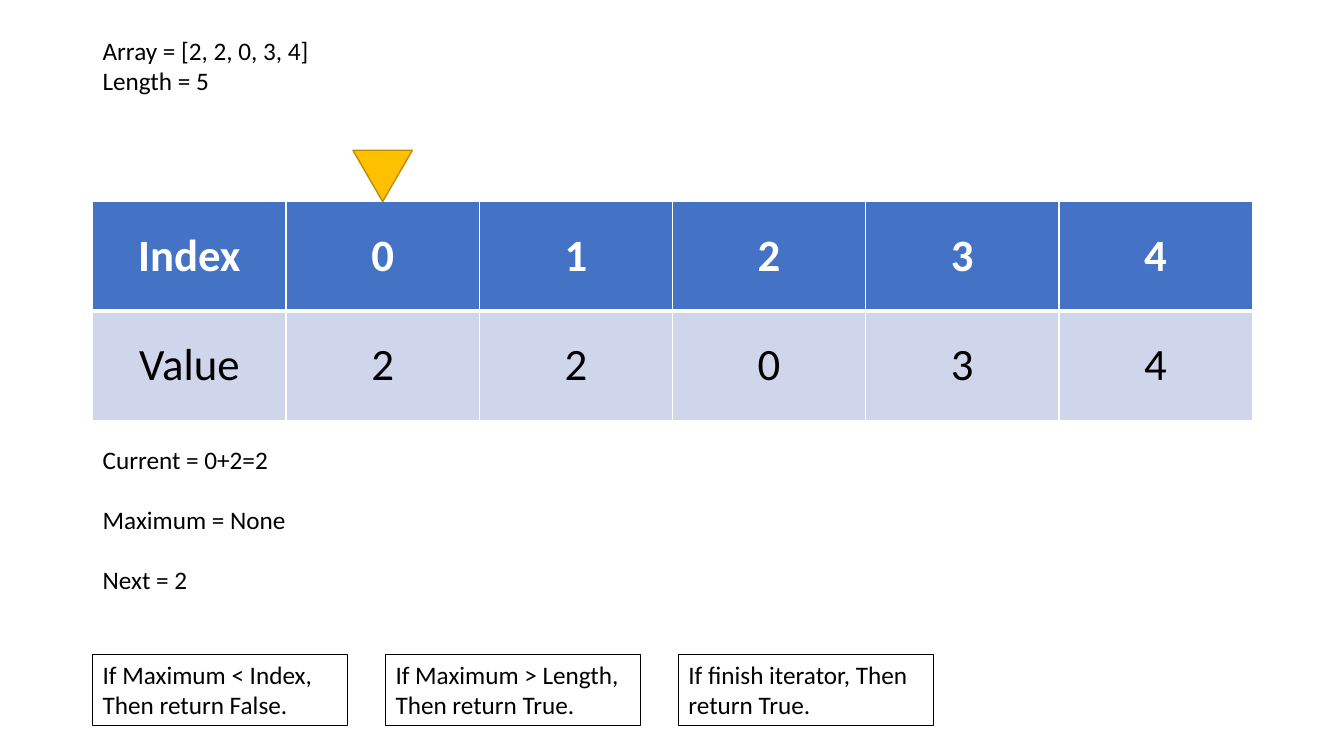
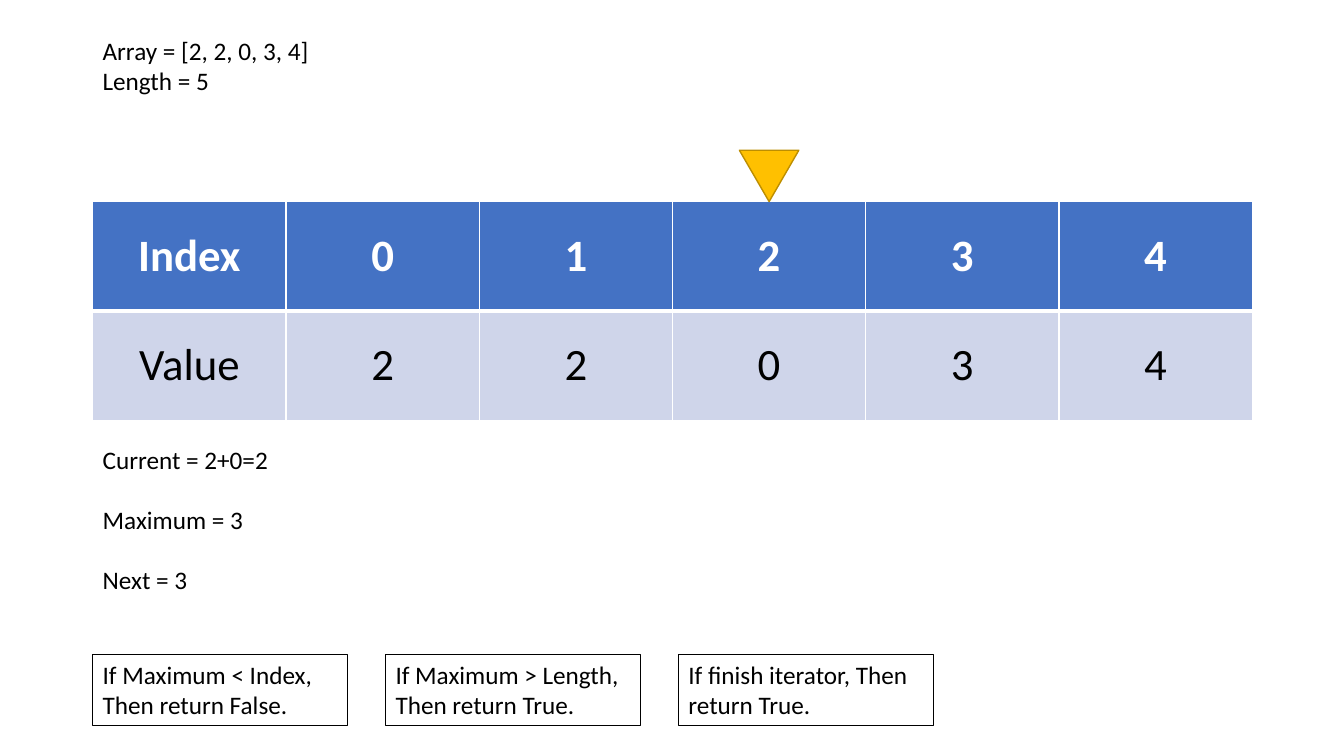
from pptx import Presentation
from pptx.dml.color import RGBColor
from pptx.enum.shapes import MSO_SHAPE
from pptx.enum.text import MSO_ANCHOR, PP_ALIGN
from pptx.oxml.ns import qn
from pptx.util import Inches, Pt
from lxml import etree

RECT, TRIANGLE = MSO_SHAPE.RECTANGLE, MSO_SHAPE.ISOSCELES_TRIANGLE
TOP, MIDDLE = MSO_ANCHOR.TOP, MSO_ANCHOR.MIDDLE
LEFT, CENTER = PP_ALIGN.LEFT, PP_ALIGN.CENTER

BLACK = RGBColor(0x00, 0x00, 0x00)
WHITE = RGBColor(0xFF, 0xFF, 0xFF)
BLUE = RGBColor(0x44, 0x72, 0xC4)
PALE_BLUE = RGBColor(0xCF, 0xD5, 0xEA)
AMBER = RGBColor(0xFF, 0xC0, 0x00)
DARK_AMBER = RGBColor(0xBD, 0x8E, 0x00)
FONT = "Calibri"

MARGIN = 0.92
ARRAY = [2, 2, 0, 3, 4]
RULES = [
    "If Maximum < Index, Then return False.",
    "If Maximum > Length, Then return True.",
    "If finish iterator, Then return True.",
]
STEPS = [
    (0, ["Current = 0+2=2", "Maximum = None", "Next = 2"]),
    (2, ["Current = 2+0=2", "Maximum = 3", "Next = 3"]),
]


def write(tf, *lines, size=18, color=BLACK, bold=False, align=LEFT):
    """Fill a text frame with one formatted paragraph per line."""
    tf.word_wrap = True
    for i, line in enumerate(lines):
        p = tf.paragraphs[0] if i == 0 else tf.add_paragraph()
        p.alignment = align
        r = p.add_run()
        r.text = line
        r.font.name = FONT
        r.font.size = Pt(size)
        r.font.bold = bold
        r.font.color.rgb = color


def add_text(s, x, y, w, h, *lines):
    """Place a plain text box."""
    write(s.shapes.add_textbox(Inches(x), Inches(y), Inches(w), Inches(h)).text_frame, *lines)


def add_outlined(s, kind, x, y, w, h, line, width):
    """Place a preset shape with a coloured outline and no shadow."""
    sp = s.shapes.add_shape(kind, Inches(x), Inches(y), Inches(w), Inches(h))
    sp.shadow.inherit = False
    sp.line.color.rgb = line
    sp.line.width = Pt(width)
    return sp


def set_borders(cell, **widths):
    """Draw white cell borders, with widths in points by side."""
    for side, width in widths.items():
        ln = etree.SubElement(cell._tc.get_or_add_tcPr(), qn(f"a:ln{side}"), w=str(Pt(width)))
        fill = etree.SubElement(ln, qn("a:solidFill"))
        etree.SubElement(fill, qn("a:srgbClr"), val=str(WHITE))


def add_array_table(s, x, y, w, h):
    """Place the table of indexes and values."""
    rows = [["Index", *range(len(ARRAY))], ["Value", *ARRAY]]
    table = s.shapes.add_table(
        len(rows), len(rows[0]), Inches(x), Inches(y), Inches(w), Inches(h)).table
    for i, row in enumerate(rows):
        header = i == 0
        for j, value in enumerate(row):
            cell = table.cell(i, j)
            set_borders(cell, L=1, R=1, T=1 if header else 3, B=3 if header else 1)
            cell.fill.solid()
            cell.fill.fore_color.rgb = BLUE if header else PALE_BLUE
            cell.vertical_anchor = MIDDLE
            write(cell.text_frame, str(value), size=32, bold=header, align=CENTER,
                  color=WHITE if header else BLACK)


def add_pointer(s, x, y, w, index):
    """Place the marker on the table's top edge, above the column of an index."""
    width, height = 0.59, 0.51
    center = x + w / (len(ARRAY) + 1) * (index + 1.5)
    sp = add_outlined(s, TRIANGLE, center - width / 2, y - height, width, height, DARK_AMBER, 1)
    sp.rotation = 180
    sp.fill.solid()
    sp.fill.fore_color.rgb = AMBER


def add_state(s, x, y, lines):
    """Place the variables of one step, one below the other."""
    for i, line in enumerate(lines):
        add_text(s, x, y + i * 0.595, 2.27, 0.4, line)


def add_rules(s, x, y):
    """Place the row of boxed stopping rules."""
    width, gap = 2.53, 0.375
    for i, rule in enumerate(RULES):
        sp = add_outlined(s, RECT, x + i * (width + gap), y, width, 0.71, BLACK, 0.75)
        sp.fill.background()
        sp.text_frame.vertical_anchor = TOP
        write(sp.text_frame, rule)


def add_step_slide(prs, index, state):
    """Add a slide that shows one step of the iteration."""
    s = prs.slides.add_slide(prs.slide_layouts[6])
    table_top, table_width = 2, 11.5
    add_array_table(s, MARGIN, table_top, table_width, 2.17)
    add_text(s, MARGIN, 0.3, 2.27, 0.71, f"Array = {ARRAY}", f"Length = {len(ARRAY)}")
    add_pointer(s, MARGIN, table_top, table_width, index)
    add_state(s, MARGIN, 4.36, state)
    add_rules(s, MARGIN, 6.49)


def main():
    """Build and save the presentation."""
    prs = Presentation()
    prs.slide_width, prs.slide_height = Inches(13.33), Inches(7.5)
    for index, state in STEPS:
        add_step_slide(prs, index, state)
    prs.save("out.pptx")


if __name__ == "__main__":
    main()
